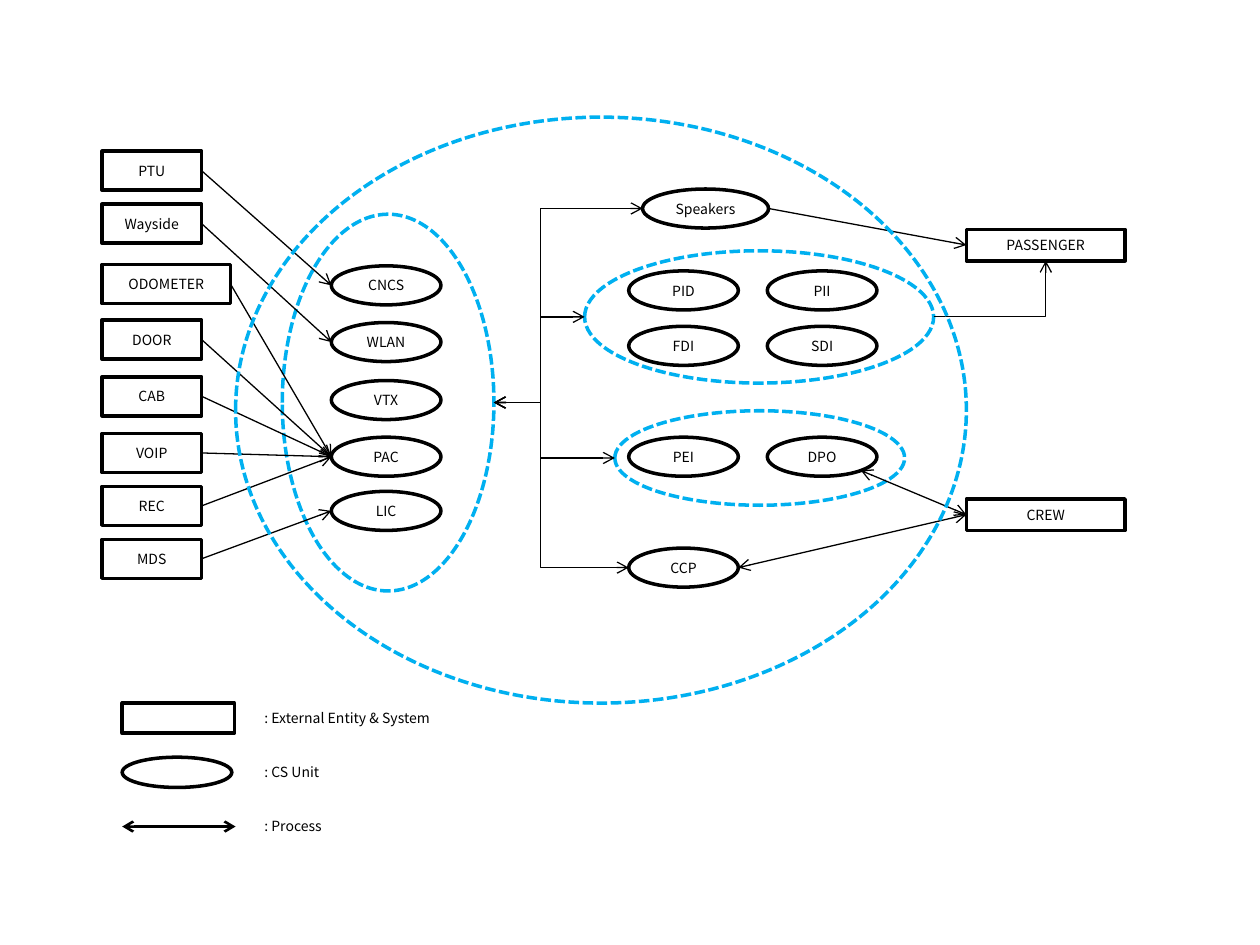
from math import sqrt

from lxml.etree import SubElement
from pptx import Presentation
from pptx.dml.color import RGBColor
from pptx.enum.dml import MSO_LINE
from pptx.enum.shapes import MSO_CONNECTOR, MSO_SHAPE
from pptx.enum.text import MSO_ANCHOR, PP_ALIGN
from pptx.oxml.ns import qn
from pptx.util import Inches, Pt

BLACK = RGBColor(0x00, 0x00, 0x00)
CYAN = RGBColor(0x00, 0xB0, 0xF0)
LABEL_FONT = {"name": "Noto Sans CJK KR", "size": Pt(8)}
OUTLINE = {"width": Pt(2)}
DASHED_OUTLINE = {"width": Pt(2), "dash_style": MSO_LINE.SQUARE_DOT}
UNIT_SIZE = (0.87, 0.31)
TOP, LEFT, BOTTOM, RIGHT = range(4)


def apply_format(target, values):
    for name, value in values.items():
        setattr(target, name, value)


def write_label(shape, text, align):
    frame = shape.text_frame
    apply_format(frame, {"word_wrap": True})
    para = frame.paragraphs[0]
    para.alignment = align
    span = para.add_run()
    span.text = text
    apply_format(span.font, LABEL_FONT)
    span.font.color.rgb = BLACK


def add_outline(page, kind, box, text="", color=BLACK, outline=OUTLINE):
    shape = page.shapes.add_shape(kind, *(Inches(value) for value in box))
    shape.shadow.inherit = False
    shape.fill.background()
    shape.line.color.rgb = color
    apply_format(shape.line, outline)
    if text:
        write_label(shape, text, PP_ALIGN.CENTER)
        shape.text_frame.vertical_anchor = MSO_ANCHOR.MIDDLE
    return shape


def add_boundary(page, box):
    return add_outline(page, MSO_SHAPE.OVAL, box, color=CYAN, outline=DASHED_OUTLINE)


def add_unit(page, left, top, text="", size=UNIT_SIZE):
    return add_outline(page, MSO_SHAPE.OVAL, (left, top, *size), text)


def side_point(shape, side):
    across, down = {TOP: (0.5, 0), LEFT: (0, 0.5), BOTTOM: (0.5, 1), RIGHT: (1, 0.5)}[side]
    return shape.left + int(shape.width * across), shape.top + int(shape.height * down)


def add_arrow(page, start, end, both=False, kind=MSO_CONNECTOR.STRAIGHT, width=0.75):
    arrow = page.shapes.add_connector(kind, *start, *end)
    arrow.line.color.rgb = BLACK
    arrow.line.width = Pt(width)
    line = arrow.line._get_or_add_ln()
    for tag in ("a:headEnd", "a:tailEnd") if both else ("a:tailEnd",):
        SubElement(line, qn(tag), type="arrow")
    SubElement(arrow._element.spPr, qn("a:effectLst"))
    return arrow


def add_external_systems(page, left, top):
    offsets = {"PTU": 0, "Wayside": 0.42, "ODOMETER": 0.9, "DOOR": 1.34,
               "CAB": 1.79, "VOIP": 2.24, "REC": 2.66, "MDS": 3.08}
    return {
        name: add_outline(page, MSO_SHAPE.RECTANGLE,
                          (left, top + offset, 1.02 if name == "ODOMETER" else 0.79, 0.31), name)
        for name, offset in offsets.items()
    }


def add_control_units(page, left, top):
    hub = add_boundary(page, (left, top, 1.68, 2.99))
    offsets = {"CNCS": 0.41, "WLAN": 0.86, "VTX": 1.32, "PAC": 1.77, "LIC": 2.2}
    units = {name: add_unit(page, left + 0.39, top + offset, name)
             for name, offset in offsets.items()}
    return hub, units


def add_onboard_units(page, left, top):
    speakers = add_unit(page, left + 0.46, top, "Speakers", (1, 0.31))
    displays = add_boundary(page, (left, top + 0.49, 2.77, 1.05))
    intercoms = add_boundary(page, (left + 0.24, top + 1.76, 2.3, 0.75))
    grid = [("PID", "PII", 0.65), ("FDI", "SDI", 1.09), ("PEI", "DPO", 1.97)]
    units = {}
    for first, second, offset in grid:
        for column, name in enumerate((first, second)):
            units[name] = add_unit(page, left + 0.35 + 1.1 * column, top + offset, name)
    panel = add_unit(page, left + 0.35, top + 2.85, "CCP")
    return (speakers, displays, intercoms, panel), units["DPO"]


def add_people(page, left, top):
    return [add_outline(page, MSO_SHAPE.RECTANGLE, (left, top + offset, 1.26, 0.25), name)
            for name, offset in (("PASSENGER", 0), ("CREW", 2.14))]


def link_systems(page, systems, units):
    targets = {"PTU": "CNCS", "Wayside": "WLAN", "MDS": "LIC"}
    for name, system in systems.items():
        unit = units[targets.get(name, "PAC")]
        arrow = add_arrow(page, side_point(system, RIGHT), side_point(unit, LEFT))
        arrow.begin_connect(system, RIGHT)


def link_hub(page, hub, branches, trunk):
    start = side_point(hub, RIGHT)
    for branch in branches:
        end = side_point(branch, LEFT)
        arrow = add_arrow(page, start, end, True, MSO_CONNECTOR.ELBOW)
        bend = round((Inches(trunk) - start[0]) / (end[0] - start[0]) * 100000)
        guides = arrow._element.spPr.find(qn("a:prstGeom")).find(qn("a:avLst"))
        SubElement(guides, qn("a:gd"), name="adj1", fmla=f"val {bend}")


def link_people(page, branches, door_unit, passenger, crew):
    speakers, displays, _, panel = branches
    spoken = add_arrow(page, side_point(speakers, RIGHT), side_point(passenger, LEFT))
    spoken.end_connect(passenger, LEFT)
    shown = add_arrow(page, side_point(displays, RIGHT), side_point(passenger, BOTTOM),
                      kind=MSO_CONNECTOR.ELBOW)
    shown._element.spPr.find(qn("a:prstGeom")).set("prst", "bentConnector2")
    diagonal = (1 + 1 / sqrt(2)) / 2
    corner = (door_unit.left + int(door_unit.width * diagonal),
              door_unit.top + int(door_unit.height * diagonal))
    for start in (corner, side_point(panel, RIGHT)):
        talk = add_arrow(page, start, side_point(crew, LEFT), both=True)
        talk.end_connect(crew, LEFT)


def add_legend(page, left, top):
    pitch = 0.43
    add_outline(page, MSO_SHAPE.RECTANGLE, (left, top, 0.89, 0.24))
    add_unit(page, left, top + pitch, size=(0.87, 0.24))
    middle = Inches(top + 0.98)
    add_arrow(page, (Inches(left), middle), (Inches(left + 0.9), middle), both=True, width=1.5)
    for row, text in enumerate((": External Entity & System", ": CS Unit", ": Process")):
        box = page.shapes.add_textbox(Inches(left + 1.03), Inches(top + pitch * row),
                                      Inches(1.73), Inches(0.24))
        write_label(box, text, PP_ALIGN.LEFT)


def main():
    deck = Presentation()
    deck.slide_width, deck.slide_height = Inches(10), Inches(7.5)
    page = deck.slides.add_slide(deck.slide_layouts[6])
    systems = add_external_systems(page, 0.81, 1.2)
    hub, units = add_control_units(page, 2.24, 1.7)
    branches, door_unit = add_onboard_units(page, 4.64, 1.5)
    passenger, crew = add_people(page, 7.67, 1.82)
    link_systems(page, systems, units)
    link_hub(page, hub, branches, 4.29)
    link_people(page, branches, door_unit, passenger, crew)
    add_boundary(page, (1.87, 0.93, 5.8, 4.65))
    add_legend(page, 0.97, 5.58)
    deck.save("out.pptx")


if __name__ == "__main__":
    main()
